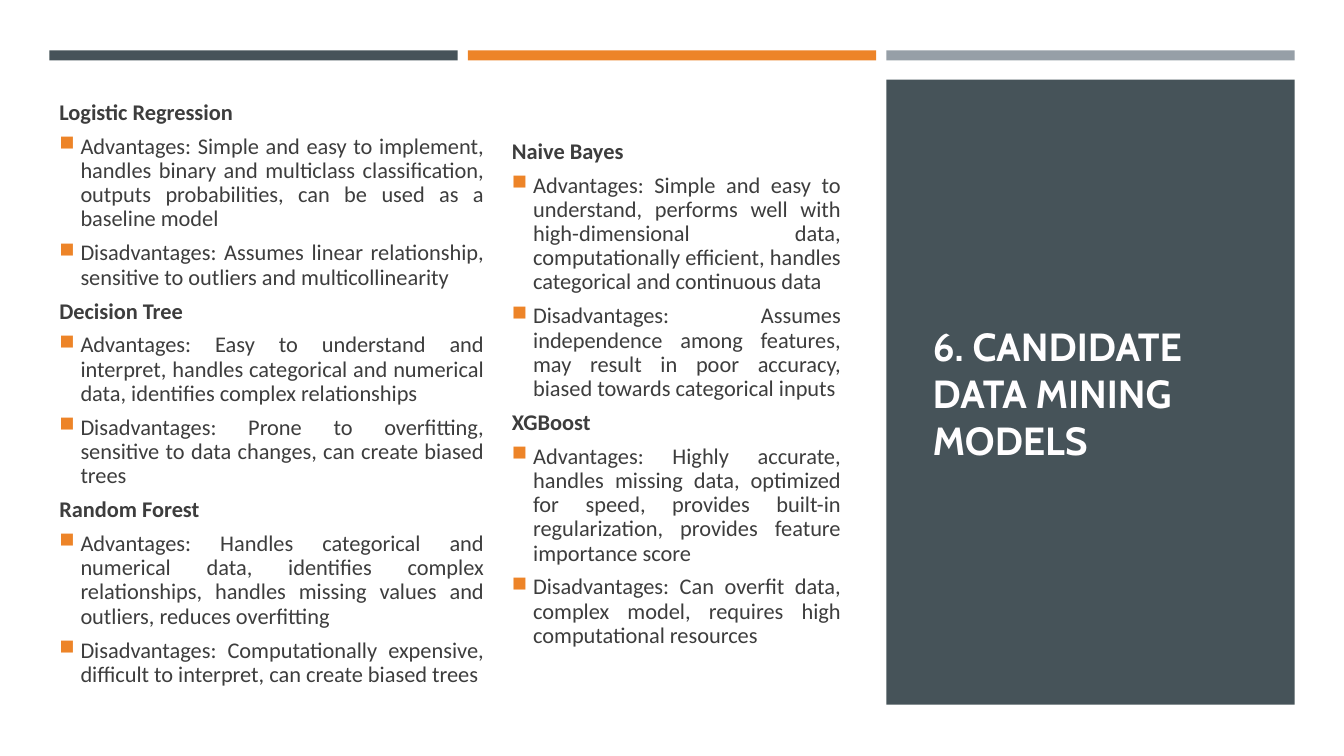
from dataclasses import dataclass

from lxml.etree import SubElement
from pptx import Presentation
from pptx.dml.color import RGBColor
from pptx.enum.shapes import MSO_SHAPE
from pptx.enum.text import MSO_ANCHOR, MSO_AUTO_SIZE, PP_ALIGN
from pptx.oxml.ns import qn
from pptx.util import Inches, Pt


@dataclass(frozen=True)
class Theme:
    slate: str = "465359"
    orange: str = "ED8428"
    grey: str = "969FA7"
    title_ink: str = "FFFEFF"
    body_ink: str = "3D3D3D"
    title_font: str = "Cabin"
    body_font: str = "Calibri"
    title_size: float = 28
    body_size: float = 16
    space_before: float = 3.2
    space_after: float = 3.8
    bullet_indent: float = 0.21


THEME = Theme()
SLIDE_WIDTH, SLIDE_HEIGHT = 13.33, 7.5
MARGIN, COLUMN, GAP = 0.49, 4.05, 0.1
COLUMN_LEFTS = [MARGIN + i * (COLUMN + GAP) for i in range(3)]

LEFT_MODELS = [
    ("Logistic Regression",
     "Simple and easy to implement, handles binary and multiclass classification, "
     "outputs probabilities, can be used as a baseline model",
     "Assumes linear relationship, sensitive to outliers and multicollinearity"),
    ("Decision Tree",
     "Easy to understand and interpret, handles categorical and numerical data, "
     "identifies complex relationships",
     "Prone to overfitting, sensitive to data changes, can create biased trees"),
    ("Random Forest",
     "Handles categorical and numerical data, identifies complex relationships, "
     "handles missing values and outliers, reduces overfitting",
     "Computationally expensive, difficult to interpret, can create biased trees"),
]
RIGHT_MODELS = [
    ("Naive Bayes",
     "Simple and easy to understand, performs well with high-dimensional data, "
     "computationally efficient, handles categorical and continuous data",
     "Assumes independence among features, may result in poor accuracy, "
     "biased towards categorical inputs"),
    ("XGBoost",
     "Highly accurate, handles missing data, optimized for speed, provides "
     "built-in regularization, provides feature importance score",
     "Can overfit data, complex model, requires high computational resources"),
]


def add_block(slide, box, colour):
    block = slide.shapes.add_shape(MSO_SHAPE.RECTANGLE, *map(Inches, box))
    block.shadow.inherit = False
    block.fill.solid()
    block.fill.fore_color.rgb = RGBColor.from_string(colour)
    block.line.fill.background()
    return block


def style_font(font, name, size, colour, bold):
    font.name = name
    font.size = Pt(size)
    font.bold = bold
    font.color.rgb = RGBColor.from_string(colour)


def add_bullet(paragraph):
    properties = paragraph._p.get_or_add_pPr()
    indent = Inches(THEME.bullet_indent)
    properties.set("marL", str(indent))
    properties.set("indent", str(-indent))
    colour = SubElement(properties, qn("a:buClr"))
    SubElement(colour, qn("a:srgbClr"), val=THEME.orange)
    SubElement(properties, qn("a:buSzPct"), val="92000")
    SubElement(properties, qn("a:buChar"), char="■")


def add_top_bars(slide, top, height):
    for left, colour in zip(COLUMN_LEFTS, (THEME.slate, THEME.orange, THEME.grey)):
        add_block(slide, (left, top, COLUMN, height), colour)


def add_title_panel(slide, box, heading):
    left, top, width, height = box
    panel = add_block(slide, box, THEME.slate)
    title = slide.shapes.title
    panel.element.addnext(title.element)
    inset = 0.36
    title.left, title.top = Inches(left + inset), Inches(top + 0.25)
    title.width, title.height = Inches(width - 2 * inset), Inches(height - 0.49)
    frame = title.text_frame
    frame.text = heading
    frame.word_wrap = True
    frame.auto_size = MSO_AUTO_SIZE.NONE
    frame.vertical_anchor = MSO_ANCHOR.MIDDLE
    paragraph = frame.paragraphs[0]
    paragraph.alignment = PP_ALIGN.LEFT
    style_font(paragraph.font, THEME.title_font, THEME.title_size, THEME.title_ink, True)


def add_models(slide, box, models):
    frame = slide.shapes.add_textbox(*map(Inches, box)).text_frame
    frame.word_wrap = True
    frame.vertical_anchor = MSO_ANCHOR.MIDDLE
    entries = []
    for model, advantages, disadvantages in models:
        entries += [(model, True),
                    (f"Advantages: {advantages}", False),
                    (f"Disadvantages: {disadvantages}", False)]
    for index, (wording, is_heading) in enumerate(entries):
        paragraph = frame.add_paragraph() if index else frame.paragraphs[0]
        paragraph.text = wording
        paragraph.alignment = PP_ALIGN.JUSTIFY
        paragraph.line_spacing = 0.9
        paragraph.space_before = Pt(THEME.space_before)
        paragraph.space_after = Pt(THEME.space_after)
        if not is_heading:
            add_bullet(paragraph)
        style_font(paragraph.font, THEME.body_font, THEME.body_size,
                   THEME.body_ink, is_heading)


def main():
    presentation = Presentation()
    presentation.slide_width = Inches(SLIDE_WIDTH)
    presentation.slide_height = Inches(SLIDE_HEIGHT)
    slide = presentation.slides.add_slide(presentation.slide_layouts[5])
    add_top_bars(slide, 0.5, 0.1)
    add_title_panel(slide, (COLUMN_LEFTS[2], 0.79, COLUMN, 6.2),
                    "6. CANDIDATE DATA MINING MODELS")
    add_models(slide, (MARGIN, 0.91, 4.41, 6), LEFT_MODELS)
    add_models(slide, (4.98, 0.91, 3.46, 6), RIGHT_MODELS)
    presentation.save("out.pptx")


if __name__ == "__main__":
    main()
